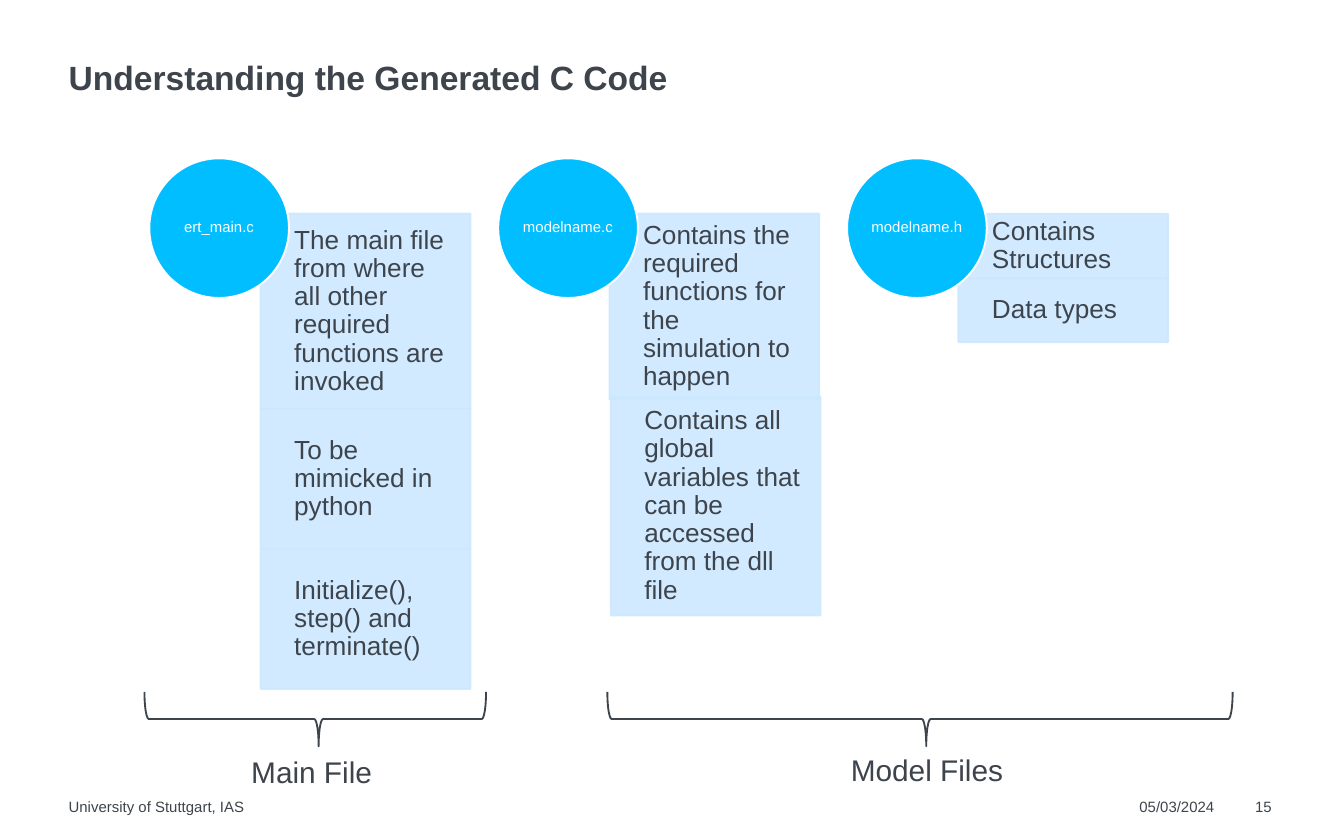
from lxml import etree
from pptx import Presentation
from pptx.dml.color import RGBColor
from pptx.enum.shapes import MSO_SHAPE as Shape
from pptx.enum.text import MSO_ANCHOR as Anchor, PP_ALIGN as Align, MSO_AUTO_SIZE as AutoSize
from pptx.oxml.ns import qn
from pptx.util import Pt

INK = RGBColor(0x3E, 0x44, 0x4C)
CYAN = RGBColor(0x00, 0xBE, 0xFF)
PALE = RGBColor(0xCC, 0xE8, 0xFF)
WHITE = RGBColor(0xFF, 0xFF, 0xFF)


def write(shape, text, size, color=INK, bold=False, align=Align.LEFT,
          anchor=Anchor.TOP, insets=(0, 0, 0, 0), spacing=1.0, wrap=True):
    frame = shape.text_frame
    frame.auto_size = AutoSize.NONE
    frame.word_wrap = wrap
    frame.vertical_anchor = anchor
    frame.margin_left, frame.margin_top, frame.margin_right, frame.margin_bottom = map(Pt, insets)
    para = frame.paragraphs[0]
    para.alignment = align
    para.line_spacing = spacing
    span = para.add_run()
    span.text = text
    span.font.name = "Arial"
    span.font.size = Pt(size)
    span.font.bold = bold
    span.font.color.rgb = color


def add_figure(kind, left, top, width, height, fill, line):
    shape = page.shapes.add_shape(kind, Pt(left), Pt(top), Pt(width), Pt(height))
    shape.shadow.inherit = False
    if fill is None:
        shape.fill.background()
    else:
        shape.fill.solid()
        shape.fill.fore_color.rgb = fill
    shape.line.color.rgb = line
    shape.line.width = Pt(1)
    return shape


deck = Presentation()
deck.slide_width, deck.slide_height = Pt(720), Pt(450)
page = deck.slides.add_slide(deck.slide_layouts[5])

# Title
title = page.shapes.title
title.left, title.top, title.width, title.height = Pt(36.8), Pt(31), Pt(646.6), Pt(21.6)
write(title, "Understanding the Generated C Code", 18, bold=True,
      anchor=Anchor.BOTTOM, spacing=0.9)

# Footer
for text, left, width in [("University of Stuttgart, IAS", 36.8, 477),
                          ("05/03/2024", 610.4, 42), ("15", 672.4, 17)]:
    box = page.shapes.add_textbox(Pt(left), Pt(427), Pt(width), Pt(10))
    write(box, text, 8, wrap=False)

# File columns: each note is text, height, and its shift right and down
columns = [
    ("ert_main.c", [
        ("The main file from where all other required functions are invoked", 104.6, 0, 0),
        ("To be mimicked in python", 75, 0, 0),
        ("Initialize(), step() and terminate()", 75, 0, 0)]),
    ("modelname.c", [
        ("Contains the required functions for the simulation to happen", 99.6, 0, 0),
        ("Contains all global variables that can be accessed from the dll file",
         117.4, 0.7, -1.7)]),
    ("modelname.h", [
        ("Contains Structures", 34.6, 0, 0),
        ("Data types", 34.2, 0, 0)]),
]
for index, (name, notes) in enumerate(columns):
    column_left = 80 + 186.9 * index
    top = 114.5
    for text, height, right, down in notes:
        note = add_figure(Shape.RECTANGLE, column_left + 59.6 + right, top + down,
                          112.4, height, PALE, PALE)
        for color in note.element.spPr.iter(qn("a:srgbClr")):
            etree.SubElement(color, qn("a:alpha"), val="90000")
        write(note, text, 14, anchor=Anchor.MIDDLE, insets=(18, 8, 8, 8), spacing=0.9)
        top += height
    circle = add_figure(Shape.OVAL, column_left, 84.8, 74.8, 74.8, CYAN, WHITE)
    write(circle, name, 8, WHITE, align=Align.CENTER, anchor=Anchor.MIDDLE, spacing=0.9)

# Braces, turned to point down, with their captions
THICK = 29.2
for text, left, span_width, text_left, text_top, text_width in [
        ("Main File", 77.4, 183, 134.6, 404, 68.4),
        ("Model Files", 325.4, 335, 455.8, 402.5, 83.5)]:
    brace = add_figure(Shape.LEFT_BRACE, left + (span_width - THICK) / 2,
                       385.2 - span_width / 2, THICK, span_width, None, INK)
    brace.rotation = 270
    brace.adjustments[0] = 0.08
    brace.adjustments[1] = 0.51
    caption = page.shapes.add_textbox(Pt(text_left), Pt(text_top), Pt(text_width), Pt(21))
    write(caption, text, 16, wrap=False)

deck.save("out.pptx")
